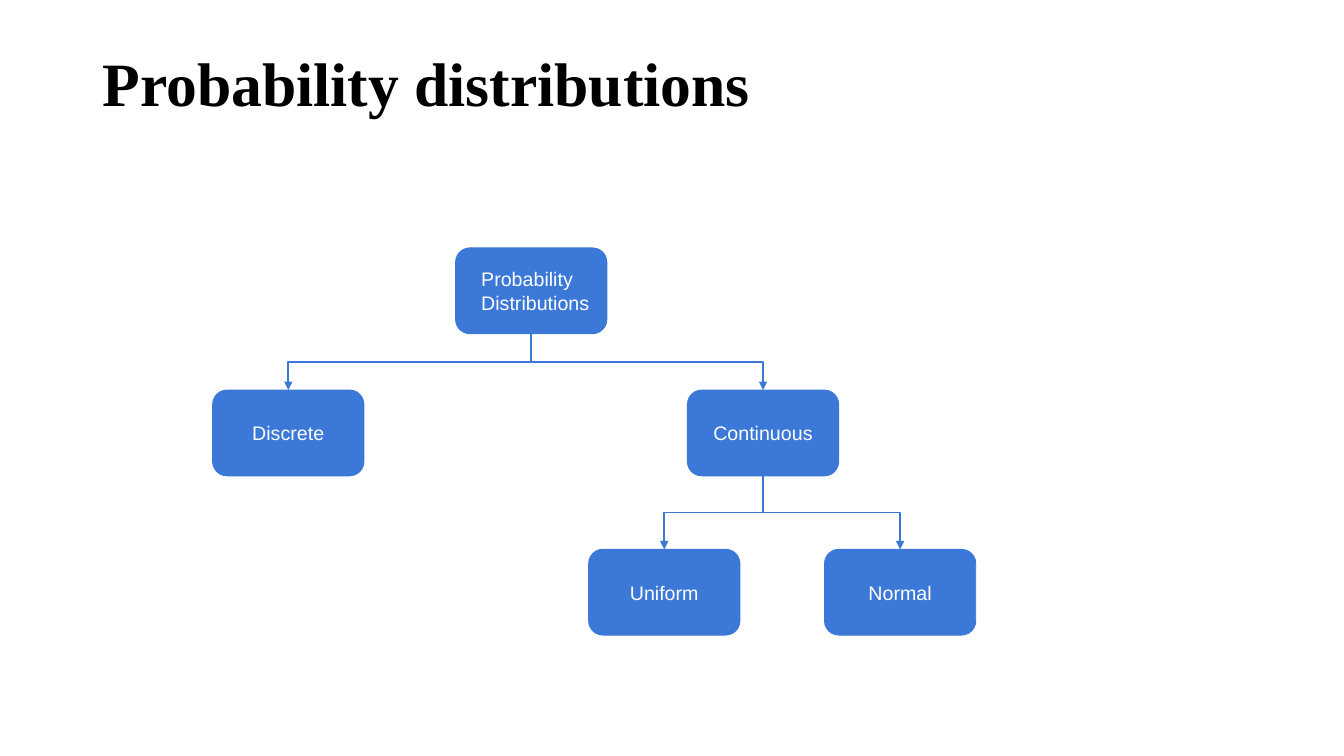
from dataclasses import dataclass

from lxml import etree
from pptx import Presentation
from pptx import util as u
from pptx.dml.color import RGBColor
from pptx.enum import shapes, text
from pptx.oxml.ns import qn


@dataclass(frozen=True)
class Theme:
    ink: str = "000000"
    blue: str = "3B78D7"
    white: str = "FFFFFF"
    serif: str = "Times New Roman"
    sans: str = "Arial"
    head: float = 44
    body: float = 14
    edge: float = 0.72
    wire: float = 1.2


class Chart:
    COLS, ROWS = 160, 90
    WIDE, HIGH = 18, 10.2

    def __init__(self, deck, theme):
        self.theme = theme
        self.slide = deck.slides.add_slide(deck.slide_layouts[6])
        self.col = deck.slide_width / self.COLS
        self.row = deck.slide_height / self.ROWS

    def place(self, left, top, wide, high):
        return (round(left * self.col), round(top * self.row),
                round(wide * self.col), round(high * self.row))

    def style(self, frame, font, size, color, bold=False):
        for para in frame.paragraphs:
            for run in para.runs:
                run.font.name = font
                run.font.size = u.Pt(size)
                run.font.bold = bold
                run.font.color.rgb = RGBColor.from_string(color)

    def title(self, words, *area):
        frame = self.slide.shapes.add_textbox(*self.place(*area)).text_frame
        frame.word_wrap = True
        frame.text = words
        self.style(frame, self.theme.serif, self.theme.head, self.theme.ink, True)

    def node(self, words, left, top, inset=None):
        box = self.slide.shapes.add_shape(
            shapes.MSO_SHAPE.ROUNDED_RECTANGLE,
            *self.place(left, top, self.WIDE, self.HIGH))
        box.shadow.inherit = False
        blue = RGBColor.from_string(self.theme.blue)
        box.fill.solid()
        box.fill.fore_color.rgb = blue
        box.line.color.rgb = blue
        box.line.width = u.Pt(self.theme.edge)
        frame = box.text_frame
        frame.text = words
        frame.word_wrap = True
        frame.vertical_anchor = text.MSO_ANCHOR.MIDDLE
        frame.margin_left = round((inset or 0) * self.col)
        frame.margin_right = frame.margin_top = frame.margin_bottom = 0
        align = text.PP_ALIGN.CENTER if inset is None else text.PP_ALIGN.LEFT
        for para in frame.paragraphs:
            para.alignment = align
        self.style(frame, self.theme.sans, self.theme.body, self.theme.white)
        return box

    def link(self, up, down):
        start = up.left + up.width // 2
        end = down.left + down.width // 2
        top = up.top + up.height
        drop, span = down.top - top, abs(end - start)
        wire = self.slide.shapes.add_connector(
            shapes.MSO_CONNECTOR.ELBOW, start, top, end, down.top)
        wire.begin_connect(up, 2)
        wire.end_connect(down, 0)
        wire.left = (start + end - drop) // 2
        wire.top = (top + down.top - span) // 2
        wire.width, wire.height = drop, span
        right = end > start
        props = wire._element.spPr
        form = props.find(qn("a:xfrm"))
        form.set("rot", "16200000" if right else "5400000")
        form.set("flipH", "1" if right else "0")
        form.set("flipV", "0")
        wire.line.color.rgb = RGBColor.from_string(self.theme.blue)
        wire.line.width = u.Pt(self.theme.wire)
        etree.SubElement(props.find(qn("a:ln")), qn("a:tailEnd"), type="triangle")
        etree.SubElement(props, qn("a:effectLst"))


def main():
    deck = Presentation()
    deck.slide_width, deck.slide_height = u.Inches(13.33), u.Inches(7.5)
    chart = Chart(deck, Theme())
    chart.title("Probability distributions", 11.04, 4.8, 138, 17.4)
    top, mid, low = 29.52, 46.44, 65.4
    root = chart.node("Probability\nDistributions", 54.24, top, inset=2.55)
    left = chart.node("Discrete", 25.32, mid)
    right = chart.node("Continuous", 81.84, mid)
    flat = chart.node("Uniform", 70.08, low)
    bell = chart.node("Normal", 98.16, low)
    for up, down in ((root, left), (root, right), (right, flat), (right, bell)):
        chart.link(up, down)
    deck.save("out.pptx")


if __name__ == "__main__":
    main()
